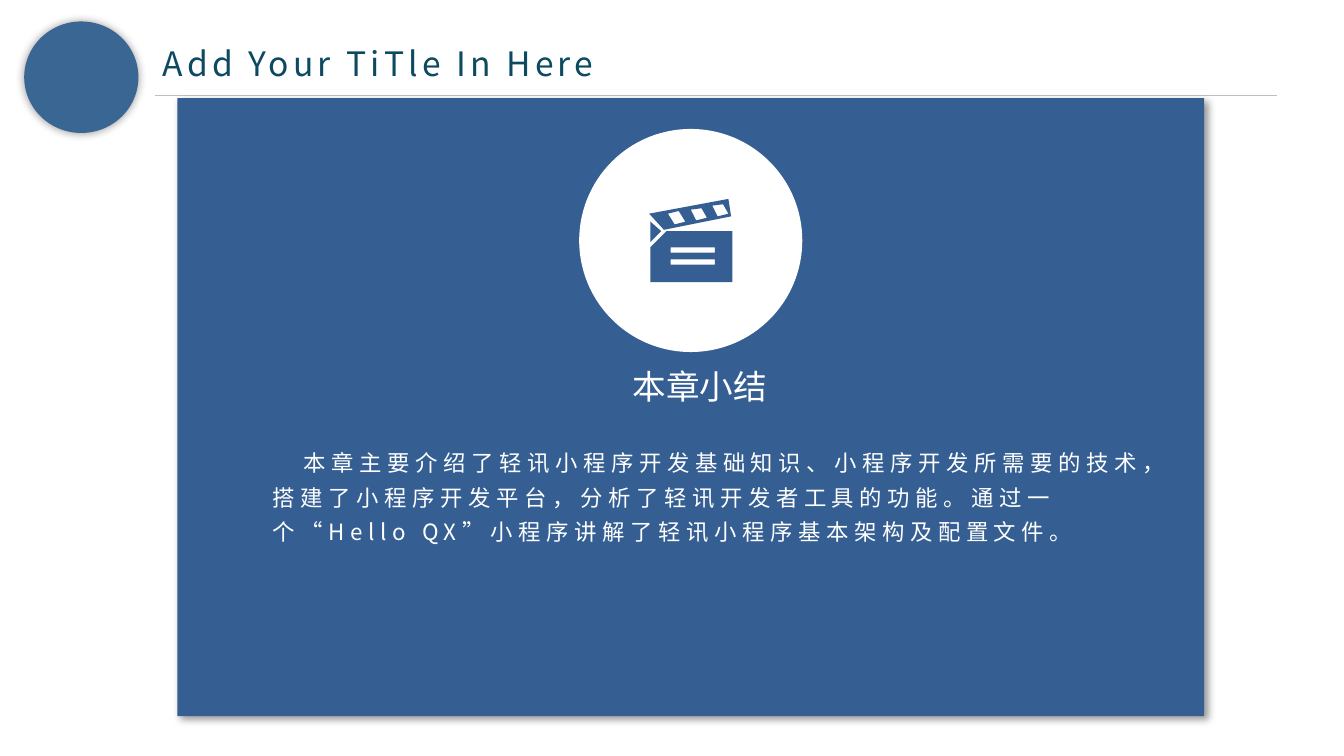
from lxml import etree
from pptx import Presentation
from pptx.dml.color import RGBColor
from pptx.enum import shapes, text
from pptx.oxml import ns
from pptx.util import Inches, Pt

NAVY = RGBColor(0x35, 0x5F, 0x93)
STEEL = RGBColor(0x39, 0x66, 0x92)
TEAL = RGBColor(0x0D, 0x49, 0x60)
GREY = RGBColor(0xBF, 0xBF, 0xBF)
WHITE = RGBColor(0xFF, 0xFF, 0xFF)
SANS, SANS_JP = "Noto Sans CJK SC", "Noto Sans CJK JP"

TITLE = "Add Your TiTle In Here"
HEAD = "本章小结"
BODY = ("本章主要介绍了轻讯小程序开发基础知识、小程序开发所需要的技术，"
        "搭建了小程序开发平台，分析了轻讯开发者工具的功能。"
        "通过一个“Hello QX”小程序讲解了轻讯小程序基本架构及配置文件。")

# Clapperboard outlines, in hundredths of an inch on the slide
LINES = [[(499, y), (499, y + 4), (532, y + 4), (532, y)] for y in (193, 184)]
BOARD = [(496, 172), (545, 172), (545, 210), (484, 210), (484, 184)]
HINGE = [(484, 165), (492, 172), (484, 180)]
GAPS = [
    [(505, 157), (497, 159), (502, 167), (510, 165)],
    [(522, 155), (514, 156), (518, 164), (526, 162)],
    [(538, 152), (530, 153), (534, 161), (542, 159)],
]
CLAP = [(542, 148), (544, 161), (494, 171), (483, 159)]
ICON = LINES + [BOARD, HINGE] + GAPS + [CLAP]


def paint(shape, color):
    shape.shadow.inherit = False
    shape.fill.solid()
    shape.fill.fore_color.rgb = color
    shape.line.fill.background()
    return shape


def block(kind, box, color):
    return paint(slide.shapes.add_shape(kind, *map(Inches, box)), color)


def shade(shape, blur, dist=0, angle=0):
    """Cast a 40% black outer shadow; blur and dist are in points."""
    effects = shape._element.spPr.find(ns.qn("a:effectLst"))
    outer = etree.SubElement(
        effects, ns.qn("a:outerShdw"), blurRad=str(Pt(blur)),
        dist=str(Pt(dist)), dir=str(angle * 60000), algn="ctr", rotWithShape="0")
    black = etree.SubElement(outer, ns.qn("a:srgbClr"), val="000000")
    etree.SubElement(black, ns.qn("a:alpha"), val="40000")


def write(box, words, size, face, color, gap=0, pad=(0.1, 0.05), wrap=True):
    """Add one paragraph; gap is the letter spacing in points."""
    frame = slide.shapes.add_textbox(*map(Inches, box)).text_frame
    frame.word_wrap = wrap
    frame.margin_left = frame.margin_right = Inches(pad[0])
    frame.margin_top = frame.margin_bottom = Inches(pad[1])
    para = frame.paragraphs[0]
    para.text = words
    font = para.font
    font.size, font.name = Pt(size), face
    font.color.rgb = color
    props = font._element
    props.set("spc", str(round(gap * 100)))
    etree.SubElement(props, ns.qn("a:ea"), typeface=face)
    return para


deck = Presentation()
deck.slide_width = Inches(10)
deck.slide_height = deck.slide_width * 9 // 16
slide = deck.slides.add_slide(deck.slide_layouts[6])
oval = shapes.MSO_SHAPE.OVAL

# Title band
write((1.15, 0.29, 4.35, 0.36), TITLE, 18, SANS_JP, TEAL, 2.2, (0.06, 0.03))
rule = slide.shapes.add_connector(
    shapes.MSO_CONNECTOR.STRAIGHT, *map(Inches, (1.15, 0.71, 9.5, 0.71)))
rule.line.color.rgb, rule.line.width = GREY, Pt(0.5)
etree.SubElement(rule._element.spPr, ns.qn("a:effectLst"))

# Summary panel
panel = block(shapes.MSO_SHAPE.RECTANGLE, (1.32, 0.73, 7.64, 4.6), NAVY)
shade(panel, 4, 3, 45)
head = write((4.61, 2.72, 1.32, 0.41), HEAD, 18, SANS, WHITE, 0, (0.1, 0), False)
head.alignment = text.PP_ALIGN.LEFT
body = write((1.93, 3.23, 6.77, 0.89), BODY, 12, SANS, WHITE, 3)
body.line_spacing = 1.3
body._p.get_or_add_pPr().set("indent", str(Inches(0.23)))

# Clapperboard badge
block(oval, (4.31, 0.96, 1.66, 1.66), WHITE)
pen = slide.shapes.build_freeform(*ICON[0][0], scale=Inches(0.01))
for part in ICON:
    pen.move_to(*part[0])
    pen.add_line_segments(part[1:], close=True)
paint(pen.convert_to_shape(), NAVY)

# Corner disc
shade(block(oval, (0.18, 0.16, 0.85, 0.83), STEEL), 5)

deck.save("out.pptx")
